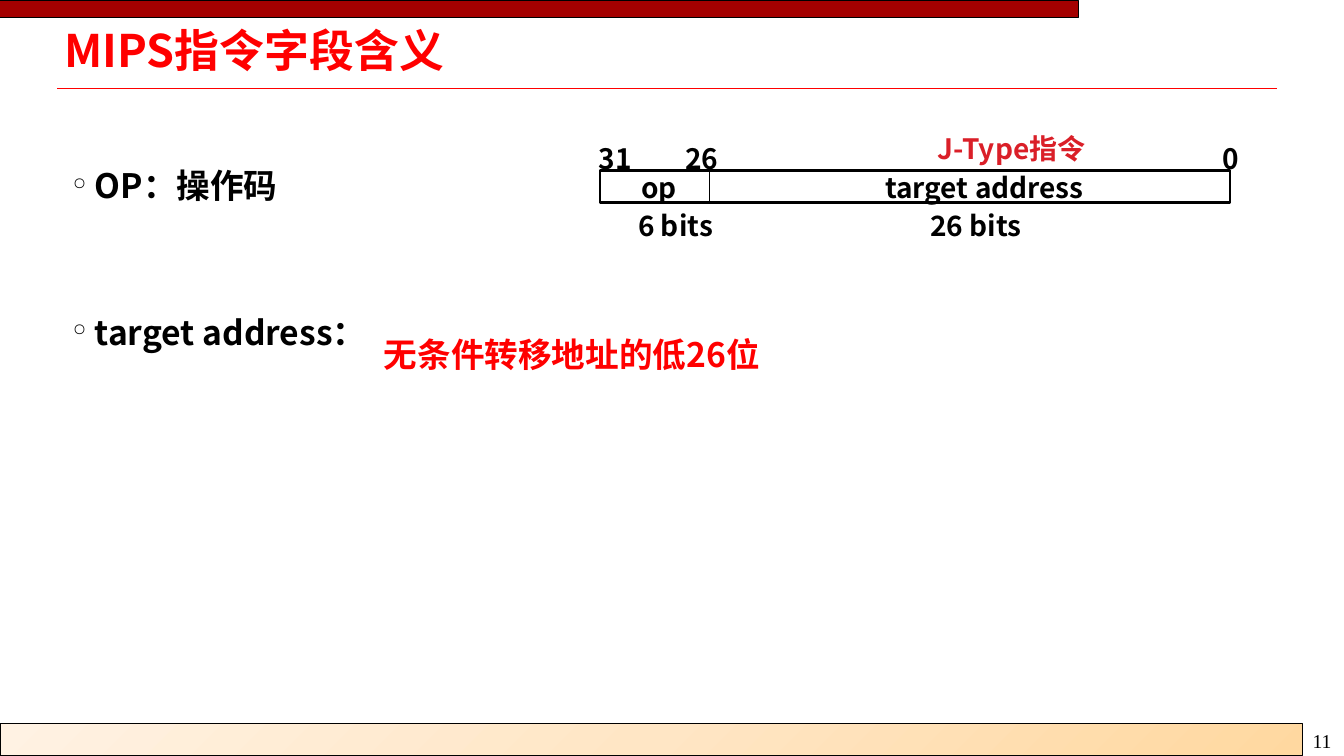
from lxml import etree
from pptx import Presentation
from pptx.dml.color import RGBColor
from pptx.enum.shapes import MSO_CONNECTOR as Connector, MSO_SHAPE as Shape
from pptx.oxml import parse_xml
from pptx.oxml.ns import nsdecls, qn
from pptx.util import Inches, Pt

COLORS = {
    "red": "FF0000", "dark_red": "A40000", "label_red": "DA1F28", "black": "000000",
    "sand": "FFD8A0", "light_sand": "FFE6C5", "cream": "FFF2E3",
}
SANS = "Noto Sans CJK SC"
SERIF = "Times New Roman"
WIDE = (0.1, 0.05)
NARROW = (0.07, 0.03)


def color(name):
    """Return the named colour."""
    return RGBColor.from_string(COLORS[name])


def style_run(run, size, font_color, name=SANS, bold=True):
    """Give a run its font, for Latin and East Asian letters alike."""
    for key, value in {"size": Pt(size), "bold": bold, "name": name}.items():
        setattr(run.font, key, value)
    run.font.color.rgb = color(font_color)
    etree.SubElement(run.font._element, qn("a:ea")).set("typeface", name)


def add_text(slide, box, lines, size, font_color="black", wrap=True, inset=WIDE,
             spacing=1.0, gap=0, bullet=None, name=SANS, bold=True):
    """Add a text box with one paragraph per line."""
    frame = slide.shapes.add_textbox(*map(Inches, box)).text_frame
    side, edge = map(Inches, inset)
    margins = {"margin_left": side, "margin_right": side,
               "margin_top": edge, "margin_bottom": edge, "word_wrap": wrap}
    for key, value in margins.items():
        setattr(frame, key, value)
    for index, line in enumerate(lines):
        paragraph = frame.add_paragraph() if index else frame.paragraphs[0]
        paragraph.line_spacing = spacing
        if index:
            paragraph.space_before = Pt(gap)
        if bullet:
            properties = paragraph._p.get_or_add_pPr()
            properties.set("marL", str(Inches(0.22)))
            properties.set("indent", str(-Inches(0.22)))
            etree.SubElement(properties, qn("a:buChar")).set("char", bullet)
        run = paragraph.add_run()
        run.text = line
        style_run(run, size, font_color, name, bold)


def add_box(slide, box, width, fill=None):
    """Add a black-edged rectangle, filled or empty."""
    shape = slide.shapes.add_shape(Shape.RECTANGLE, *map(Inches, box))
    shape.shadow.inherit = False
    shape.line.color.rgb = color("black")
    shape.line.width = Pt(width)
    if fill:
        shape.fill.solid()
        shape.fill.fore_color.rgb = color(fill)
    else:
        shape.fill.background()
    return shape


def fill_radial(shape, names):
    """Fill a shape with evenly spaced colours spreading from its lower right corner."""
    step = 100000 // (len(names) - 1)
    stops = "".join(f'<a:gs pos="{index * step}"><a:srgbClr val="{COLORS[name]}"/></a:gs>'
                    for index, name in enumerate(names))
    gradient = parse_xml(
        f'<a:gradFill {nsdecls("a")} rotWithShape="1"><a:gsLst>{stops}</a:gsLst>'
        '<a:path path="circle"><a:fillToRect l="100000" t="100000"/></a:path></a:gradFill>')
    properties = shape._element.spPr
    properties.replace(properties.find(qn("a:noFill")), gradient)


def add_header(slide, left, top, width):
    """Draw the top bar, the title and the rule under it."""
    add_box(slide, (0, 0.01, 10.7, 0.16), 0.75, "dark_red")
    add_text(slide, (left, top, width, 0.52), ["MIPS指令字段含义"], 32, "red",
             inset=NARROW, spacing=0.87)
    rule_y = top + 0.61
    rule = slide.shapes.add_connector(
        Connector.STRAIGHT, *map(Inches, (left, rule_y, left + width, rule_y)))
    rule.line.color.rgb = color("red")
    rule.line.width = Pt(1)
    etree.SubElement(rule._element.spPr, qn("a:effectLst"))


def add_footer(slide, top, width, number):
    """Draw the bottom band and the page number beside it."""
    band = add_box(slide, (0, top, width, 0.32), 0.75)
    fill_radial(band, ["sand", "light_sand", "cream"])
    add_text(slide, (width, top, 0.43, 0.34), [number], 14, wrap=False, name=SERIF, bold=False)


def add_fields(slide, left, top):
    """List the fields and explain the target address."""
    add_text(slide, (left, top, 11.94, 2.3), ["OP：操作码", "target address："], 24,
             inset=NARROW, spacing=1.3, gap=67, bullet="°")
    add_text(slide, (left + 3.06, top + 1.65, 9.04, 0.63), ["无条件转移地址的低26位"], 24,
             "red", spacing=1.3)


def add_format(slide, left, top, width, height):
    """Draw the J-Type word with its fields, bit numbers and widths."""
    split = 1.09
    add_box(slide, (left, top, width, height), 2)
    for start, end in ((0, split), (split, width)):
        add_box(slide, (left + start, top, end - start, height), 1)
    rows = {
        -0.34: (("31", -0.11, 0.55), ("26", 0.75, 0.55), ("0", 6.08, 0.37)),
        -0.05: (("op", 0.31, 0.57), ("target address", 2.73, 2.23)),
        0.33: (("6 bits", 0.28, 0.98), ("26 bits", 3.18, 1.15)),
    }
    for offset, labels in rows.items():
        for label, start, label_width in labels:
            add_text(slide, (left + start, top + offset, label_width, 0.43), [label], 20, wrap=False)
    add_text(slide, (left + 3.28, top - 0.42, 2.16, 0.39), ["J-Type指令"], 20, "label_red",
             inset=NARROW)


def main():
    """Build and save the slide."""
    presentation = Presentation()
    presentation.slide_width = Inches(13.33)
    presentation.slide_height = Inches(7.5)
    slide = presentation.slides.add_slide(presentation.slide_layouts[6])
    add_header(slide, 0.57, 0.27, 12.1)
    add_footer(slide, 7.18, 12.92, "11")
    add_fields(slide, 0.65, 1.49)
    add_format(slide, 5.95, 1.69, 6.25, 0.32)
    presentation.save("out.pptx")


if __name__ == "__main__":
    main()
